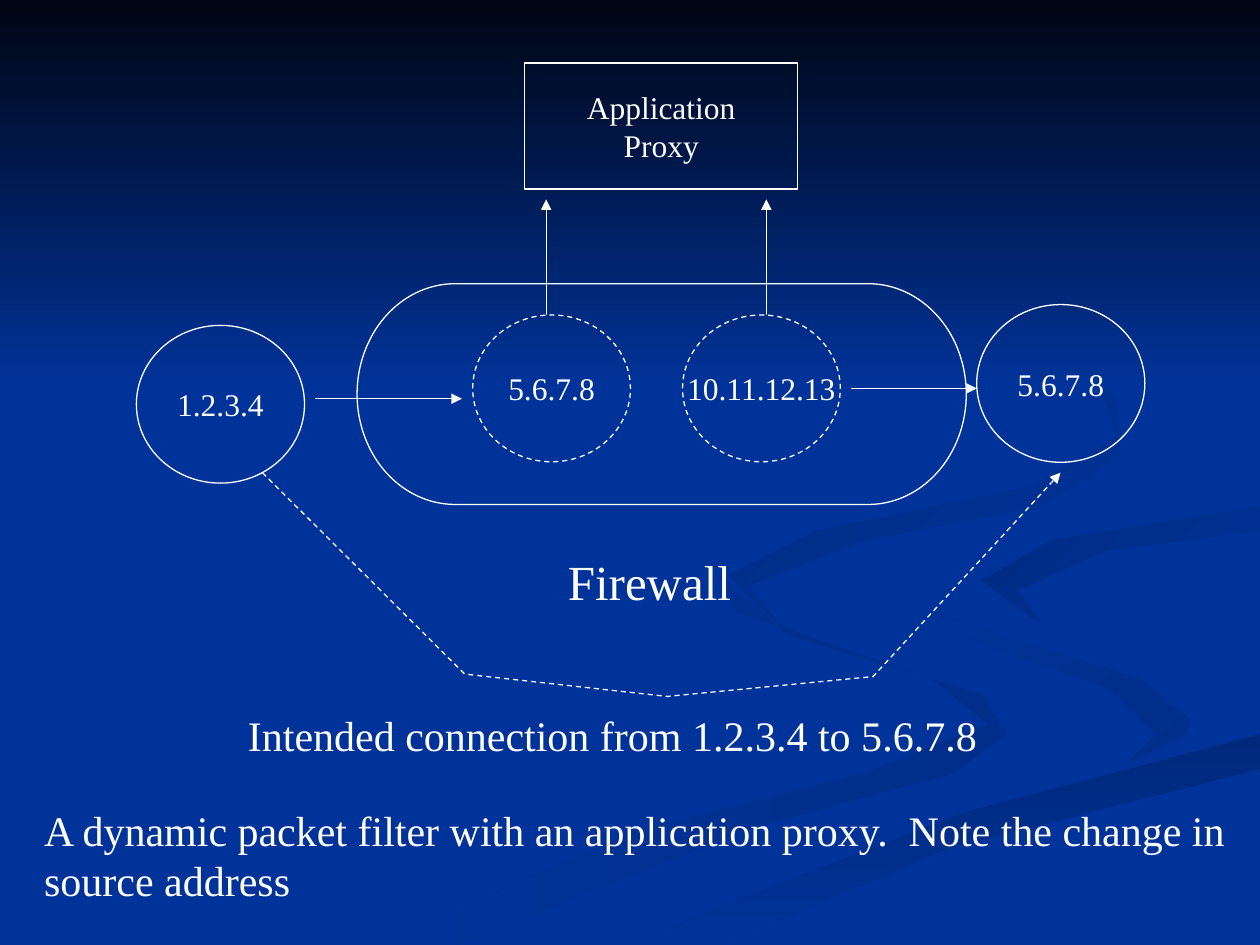
from dataclasses import dataclass
from typing import Optional

from lxml.etree import SubElement
from pptx import Presentation
from pptx.dml.color import RGBColor
from pptx.enum.dml import MSO_LINE
from pptx.enum.shapes import MSO_CONNECTOR, MSO_SHAPE
from pptx.enum.text import MSO_ANCHOR, MSO_AUTO_SIZE, PP_ALIGN
from pptx.oxml.ns import qn
from pptx.util import Cm, Pt


@dataclass(frozen=True)
class Theme:
    font: str = "Times New Roman"
    ink: str = "FFFFFF"
    blue: str = "003399"
    shade: str = "002E8A"
    deep: str = "002B81"
    night: str = "000514"
    node_size: int = 18
    body_size: int = 24
    label_size: int = 28
    line_width: float = 0.75


@dataclass(frozen=True)
class Ribbon:
    start: str
    end: str
    angle: int
    points: tuple


@dataclass(frozen=True)
class Node:
    kind: MSO_SHAPE
    left: float
    top: float
    width: float
    height: float
    lines: tuple = ()
    dashed: bool = False


@dataclass(frozen=True)
class Caption:
    left: float
    top: float
    width: float
    height: float
    text: str
    size: int
    wrap: bool = False


THEME = Theme()
WIDTH, HEIGHT = 25.4, 19.05
CIRCLE = MSO_SHAPE.FLOWCHART_CONNECTOR
OUTER = (3.39, 3.18)
INNER = (3.18, 2.96)
INNER_TOP = 6.35

RIBBONS = (
    Ribbon(THEME.shade, THEME.blue, 180, (
        (19.8, 14), (15.9, 12.8), (14.6, 11.7), (14.8, 12.3), (18.8, 13.7), (19.9, 14.6),
        (17.4, 15.6), (12.7, 16.8), (7.6, HEIGHT), (9.2, HEIGHT), (15.1, 16.7), (19.2, 15.6), (20.3, 14.8))),
    Ribbon(THEME.shade, THEME.blue, 135, (
        (24, 14.5), (23, 13.7), (18.9, 12.4), (18.4, 11.8), (19, 12.7), (22.4, 13.9),
        (23.3, 14.8), (22.7, 15.4), (23.9, 14.8))),
    Ribbon("00297C", THEME.blue, 270, (
        (12.8, HEIGHT), (14.5, HEIGHT), (19.1, 17.1), (WIDTH, 15.5), (WIDTH, 14.8), (19.4, 16.4), (14.5, 18.3))),
    Ribbon(THEME.blue, THEME.deep, 135, (
        (19.8, 11.7), (21, 12.6), (20.5, 11.9), (22.3, 11.1), (WIDTH, 10.7), (WIDTH, 10.2), (21.2, 10.9))),
    Ribbon(THEME.blue, THEME.deep, 135, (
        (17.4, 10.9), (21, 10.2), (22.6, 9.2), (22.5, 8), (19.4, 5.9), (22.1, 7.6), (22.5, 8.8),
        (20.8, 9.8), (16.5, 10.7), (14.7, 11.6), (15.8, 12.7), (15.1, 11.8))),
    Ribbon(THEME.night, THEME.blue, 270, ((0, 0), (0, 7.82), (WIDTH, 7.82), (WIDTH, 0))),
)

NODES = (
    Node(CIRCLE, 2.75, 6.56, *OUTER, ("1.2.3.4",)),
    Node(CIRCLE, 19.69, 6.14, *OUTER, ("5.6.7.8",)),
    Node(CIRCLE, 13.76, INNER_TOP, *INNER, ("10.11.12.13",), True),
    Node(CIRCLE, 9.53, INNER_TOP, *INNER, ("5.6.7.8",), True),
    Node(MSO_SHAPE.FLOWCHART_TERMINATOR, 7.2, 5.72, 12.28, 4.45),
    Node(MSO_SHAPE.FLOWCHART_PROCESS, 10.58, 1.27, 5.5, 2.54, ("Application", "Proxy")),
)

ACROSS = ((6.35, 9.31, 8.04), (17.15, 19.69, 7.83))
UPWARD = (11.01, 15.45)
ARROW_TOP = 4.02
INTENDED_ROUTE = ((5.29, 9.53), (9.37, 13.59), (13.45, 14.04), (17.6, 13.64), (21.38, 9.53))

CAPTIONS = (
    Caption(11.2, 11, 4.42, 1.45, "Firewall", THEME.label_size),
    Caption(4.75, 14.18, 17.55, 1.27, "Intended connection from 1.2.3.4 to 5.6.7.8", THEME.body_size),
    Caption(0.64, 16.09, 24.76, 2.29,
            "A dynamic packet filter with an application proxy.  Note the change in source address",
            THEME.body_size, True),
)


def style_line(line, dashed: bool = False) -> None:
    line.color.rgb = RGBColor.from_string(THEME.ink)
    line.width = Pt(THEME.line_width)
    if dashed:
        line.dash_style = MSO_LINE.DASH


def add_arrowhead(line) -> None:
    SubElement(line._get_or_add_ln(), qn("a:tailEnd"), type="triangle")


def write(frame, lines: tuple, size: int, align: Optional[PP_ALIGN] = None) -> None:
    para = frame.paragraphs[0]
    para.alignment = align
    for index, text in enumerate(lines):
        if index:
            para.add_line_break()
        span = para.add_run()
        span.text = text
        span.font.name = THEME.font
        span.font.size = Pt(size)
        span.font.color.rgb = RGBColor.from_string(THEME.ink)


def add_outline(page, points: tuple, close: bool):
    corners = [(round(x * 100), round(y * 100)) for x, y in points]
    builder = page.shapes.build_freeform(*corners[0], scale=Cm(0.01))
    builder.add_line_segments(corners[1:], close=close)
    shape = builder.convert_to_shape()
    shape.shadow.inherit = False
    return shape


def add_ribbon(page, ribbon: Ribbon) -> None:
    shape = add_outline(page, ribbon.points, True)
    shape.line.fill.background()
    shape.fill.gradient()
    shape.fill.gradient_angle = ribbon.angle
    for stop, color in zip(shape.fill.gradient_stops, (ribbon.start, ribbon.end)):
        stop.color.rgb = RGBColor.from_string(color)


def add_node(page, node: Node) -> None:
    shape = page.shapes.add_shape(node.kind, Cm(node.left), Cm(node.top), Cm(node.width), Cm(node.height))
    shape.shadow.inherit = False
    shape.fill.background()
    style_line(shape.line, node.dashed)
    shape.text_frame.word_wrap = False
    shape.text_frame.vertical_anchor = MSO_ANCHOR.MIDDLE
    write(shape.text_frame, node.lines, THEME.node_size, PP_ALIGN.CENTER)


def add_arrow(page, start: tuple, end: tuple) -> None:
    ends = [Cm(value) for value in start + end]
    connector = page.shapes.add_connector(MSO_CONNECTOR.STRAIGHT, *ends)
    style_line(connector.line)
    add_arrowhead(connector.line)
    SubElement(connector._element.spPr, qn("a:effectLst"))


def add_route(page, points: tuple) -> None:
    shape = add_outline(page, points, False)
    shape.fill.background()
    style_line(shape.line, True)
    add_arrowhead(shape.line)


def add_caption(page, caption: Caption) -> None:
    box = page.shapes.add_textbox(Cm(caption.left), Cm(caption.top), Cm(caption.width), Cm(caption.height))
    box.text_frame.word_wrap = caption.wrap
    box.text_frame.auto_size = MSO_AUTO_SIZE.SHAPE_TO_FIT_TEXT
    write(box.text_frame, (caption.text,), caption.size)


def main() -> None:
    deck = Presentation()
    deck.slide_width, deck.slide_height = Cm(WIDTH), Cm(HEIGHT)
    page = deck.slides.add_slide(deck.slide_layouts[6])
    page.background.fill.solid()
    page.background.fill.fore_color.rgb = RGBColor.from_string(THEME.blue)
    for ribbon in RIBBONS:
        add_ribbon(page, ribbon)
    for node in NODES:
        add_node(page, node)
    for left, right, y in ACROSS:
        add_arrow(page, (left, y), (right, y))
    for x in UPWARD:
        add_arrow(page, (x, INNER_TOP), (x, ARROW_TOP))
    add_route(page, INTENDED_ROUTE)
    for caption in CAPTIONS:
        add_caption(page, caption)
    deck.save("out.pptx")


if __name__ == "__main__":
    main()
